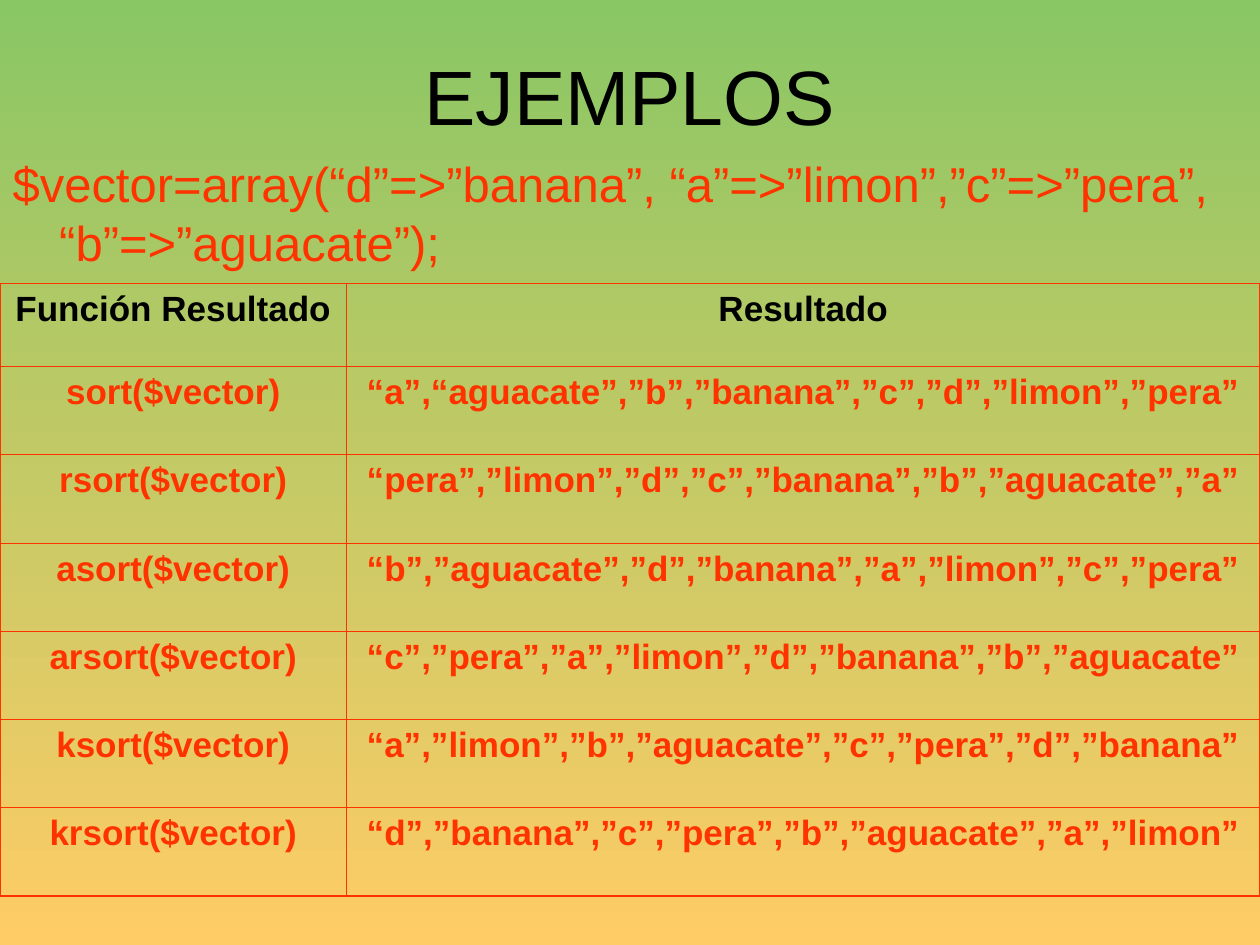
from lxml.etree import SubElement
from pptx import Presentation
from pptx.dml.color import RGBColor
from pptx.enum.text import MSO_ANCHOR, MSO_AUTO_SIZE, PP_ALIGN
from pptx.oxml.ns import qn
from pptx.util import Inches, Pt

GREEN = RGBColor(0x89, 0xC7, 0x65)
AMBER = RGBColor(0xFF, 0xCC, 0x66)
RED = RGBColor(0xFF, 0x33, 0x00)
BLACK = RGBColor(0, 0, 0)

WIDE, HIGH = Inches(10), Inches(7.5)
COLS = [0.275, 0.725]  # shares of the slide's width
HEAD, ROW = Inches(0.66), Inches(0.7)
THIN, THICK = Pt(0.45), Pt(1.08)

ROWS = [
    ("Función Resultado", "Resultado"),
    ("sort($vector)", "“a”,“aguacate”,”b”,”banana”,”c”,”d”,”limon”,”pera”"),
    ("rsort($vector)", "“pera”,”limon”,”d”,”c”,”banana”,”b”,”aguacate”,”a”"),
    ("asort($vector)", "“b”,”aguacate”,”d”,”banana”,”a”,”limon”,”c”,”pera”"),
    ("arsort($vector)", "“c”,”pera”,”a”,”limon”,”d”,”banana”,”b”,”aguacate”"),
    ("ksort($vector)", "“a”,”limon”,”b”,”aguacate”,”c”,”pera”,”d”,”banana”"),
    ("krsort($vector)", "“d”,”banana”,”c”,”pera”,”b”,”aguacate”,”a”,”limon”"),
]
VECTOR = ("$vector=array(“d”=>”banana”, “a”=>”limon”,”c”=>”pera”, "
          "“b”=>”aguacate”);")


def put_text(frame, text, size, color=BLACK, bold=False,
             align=PP_ALIGN.CENTER, hang=None):
    para = frame.paragraphs[0]
    para.text = text
    para.alignment = align
    para.space_before = Pt(0)
    if hang:
        # Hanging indent without a bullet
        props = para._p.get_or_add_pPr()
        props.set("marL", str(hang))
        props.set("indent", str(-hang))
        SubElement(props, qn("a:buNone"))
    font = para.runs[0].font
    font.name, font.size, font.bold = "Arial", Pt(size), bold
    font.color.rgb = color


def place(shape, left, top, width, height, anchor):
    shape.left, shape.top = int(left * WIDE), int(top * HIGH)
    shape.width, shape.height = int(width * WIDE), int(height * HIGH)
    frame = shape.text_frame
    frame.word_wrap = True
    frame.auto_size = MSO_AUTO_SIZE.NONE
    frame.vertical_anchor = anchor
    return frame


def paint_back(slide):
    fill = slide.background.fill
    fill.gradient()
    fill.gradient_angle = 270
    for stop, color in zip(fill.gradient_stops, (GREEN, AMBER)):
        stop.color.rgb = color


def add_edges(cell, outer):
    # Borders must come before the fill in the cell's properties
    props = cell._tc.get_or_add_tcPr()
    for spot, side in enumerate("LRTB"):
        line = SubElement(props, qn("a:ln" + side))
        line.set("w", str(THICK if side in outer else THIN))
        fill = SubElement(line, qn("a:solidFill"))
        SubElement(fill, qn("a:srgbClr")).set("val", str(RED))
        props.insert(spot, line)


def add_grid(slide, rows, top):
    last, end = len(rows) - 1, len(COLS) - 1
    frame = slide.shapes.add_table(len(rows), len(COLS), 0, int(top * HIGH),
                                   WIDE, HEAD + last * ROW)
    table = frame.table
    table.first_row = table.horz_banding = False
    for col, share in zip(table.columns, COLS):
        col.width = int(share * WIDE)
    for r, texts in enumerate(rows):
        table.rows[r].height = ROW if r else HEAD
        for c, text in enumerate(texts):
            cell = table.cell(r, c)
            cell.fill.background()
            put_text(cell.text_frame, text, 20, bold=True,
                     color=RED if r else BLACK)
            # The outer frame is thicker than the inner lines
            edges = {"L": c == 0, "R": c == end, "T": r == 0, "B": r == last}
            add_edges(cell, [side for side, on in edges.items() if on])


def main():
    deck = Presentation()
    deck.slide_width, deck.slide_height = WIDE, HIGH
    slide = deck.slides.add_slide(deck.slide_layouts[1])
    paint_back(slide)

    # Title and array under study
    title, body = slide.placeholders
    put_text(place(title, 0, 0, 1, 0.2, MSO_ANCHOR.MIDDLE), "EJEMPLOS", 44)
    put_text(place(body, 0, 0.156, 0.975, 0.156, MSO_ANCHOR.TOP), VECTOR, 28,
             color=RED, align=PP_ALIGN.LEFT, hang=Inches(0.37))

    # Sorting functions and their results
    add_grid(slide, ROWS, top=0.3)
    deck.save("out.pptx")


if __name__ == "__main__":
    main()
